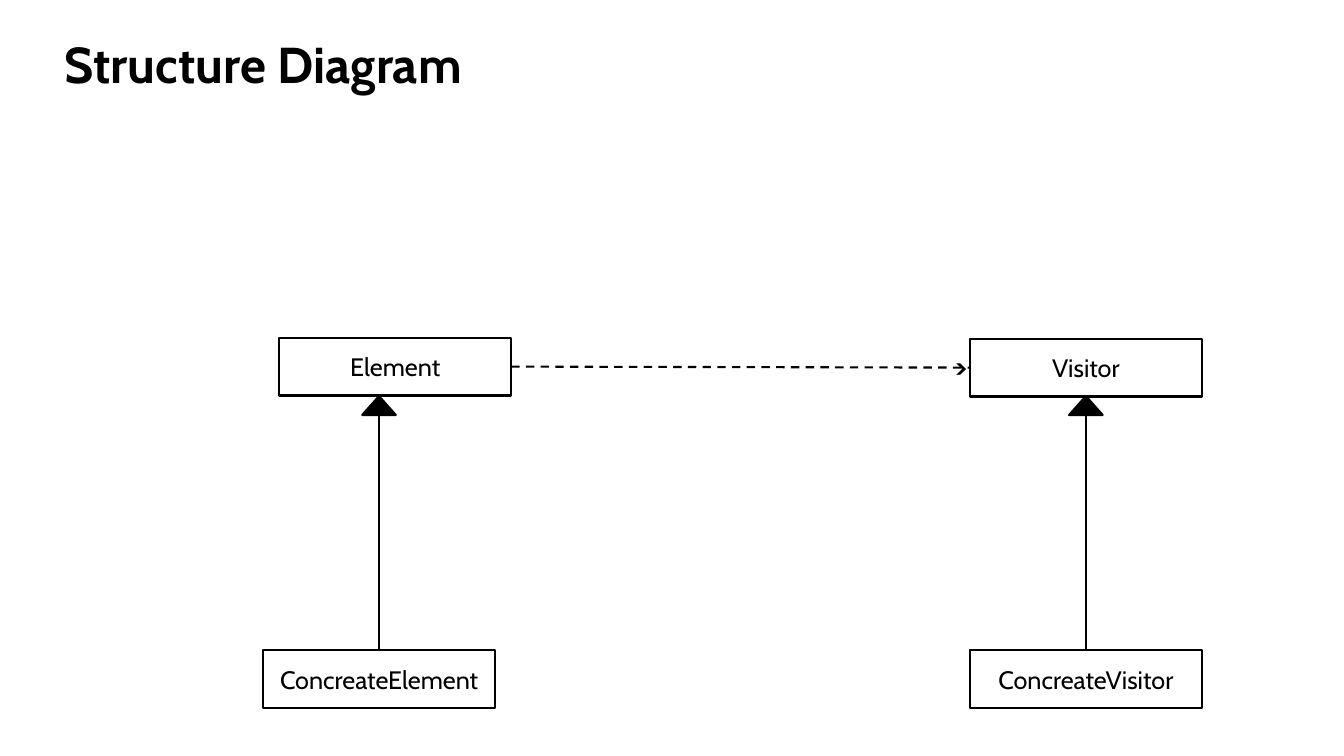
from lxml import etree
from pptx import Presentation
from pptx.dml.color import RGBColor
from pptx.enum.dml import MSO_LINE
from pptx.enum.shapes import MSO_CONNECTOR, MSO_SHAPE
from pptx.enum.text import MSO_ANCHOR, MSO_AUTO_SIZE, PP_ALIGN
from pptx.oxml.ns import qn
from pptx.util import Inches, Pt

RECT = MSO_SHAPE.RECTANGLE
HEAD = MSO_SHAPE.FLOWCHART_EXTRACT
LINE = MSO_CONNECTOR.STRAIGHT
DASH = MSO_LINE.DASH
MID = MSO_ANCHOR.MIDDLE
GROW = MSO_AUTO_SIZE.SHAPE_TO_FIT_TEXT
LEFT, CENTER = PP_ALIGN.LEFT, PP_ALIGN.CENTER
TOP, BOTTOM, RIGHT, WEST = 0, 2, 3, 1

WIDE, HIGH = Inches(13.33), Inches(7.5)
COLORS = {"ink": "000000", "paper": "FFFFFF"}
FONT = "Cabin"
BOX_W, BOX_H = 17.25, 7.65
HEAD_W, HEAD_H = 2.5, 2.5
LOW_Y, HEAD_Y = 86, 52.4
LEFT_X, RIGHT_X = 19.58, 72.17


def color(name):
    """Return a named colour."""
    return RGBColor.from_string(COLORS[name])


def area(x, y, w, h):
    """Turn percent shares of the slide into lengths."""
    return [int(side * part / 100)
            for side, part in zip((WIDE, HIGH, WIDE, HIGH), (x, y, w, h))]


def write(frame, text, size=18, bold=False, align=CENTER):
    """Put formatted text into a frame."""
    frame.word_wrap = True
    para = frame.paragraphs[0]
    para.alignment = align
    run = para.add_run()
    run.text = text
    run.font.name = FONT
    run.font.size = Pt(size)
    run.font.bold = bold
    run.font.color.rgb = color("ink")


def outline(item):
    """Give a shape or connector the common line."""
    item.line.color.rgb = color("ink")
    item.line.width = Pt(1.5)


def solid(slide, kind, place, fill):
    """Add a filled and outlined shape."""
    shape = slide.shapes.add_shape(kind, *area(*place))
    shape.shadow.inherit = False
    shape.fill.solid()
    shape.fill.fore_color.rgb = color(fill)
    outline(shape)
    return shape


def box(slide, text, x, y):
    """Add a class box with its name."""
    shape = solid(slide, RECT, (x, y, BOX_W, BOX_H), "paper")
    shape.text_frame.vertical_anchor = MID
    write(shape.text_frame, text)
    return shape


def head(slide, x):
    """Add a triangle centred over the box column at x."""
    place = (x + (BOX_W - HEAD_W) / 2, HEAD_Y, HEAD_W, HEAD_H)
    return solid(slide, HEAD, place, "ink")


def link(slide, start, out, end, into, dash=None):
    """Join two shapes with a straight line."""
    wire = slide.shapes.add_connector(LINE, 0, 0, 0, 0)
    wire.begin_connect(start, out)
    wire.end_connect(end, into)
    outline(wire)
    if dash:
        wire.line.dash_style = dash
    etree.SubElement(wire._element.spPr, qn("a:effectLst"))


def label(slide, text, place, **form):
    """Add a free text box."""
    frame = slide.shapes.add_textbox(*area(*place)).text_frame
    frame.auto_size = GROW
    write(frame, text, **form)


def main():
    """Build and save the slide."""
    deck = Presentation()
    deck.slide_width, deck.slide_height = WIDE, HIGH
    slide = deck.slides.add_slide(deck.slide_layouts[6])

    element = box(slide, "Element", 20.78, 44.67)
    visitor = box(slide, "Visitor", RIGHT_X, 44.8)
    for text, x in (("ConcreateElement", LEFT_X), ("ConcreateVisitor", RIGHT_X)):
        child = box(slide, text, x, LOW_Y)
        link(slide, child, TOP, head(slide, x), BOTTOM)

    label(slide, "Structure Diagram", (1.13, 3.73, 36.91, 9.47),
          size=36, bold=True)
    link(slide, element, RIGHT, visitor, WEST, dash=DASH)
    label(slide, ">", (70.29, 45.6, 2.55, 5.87),
          size=20, bold=True, align=LEFT)
    deck.save("out.pptx")


if __name__ == "__main__":
    main()
